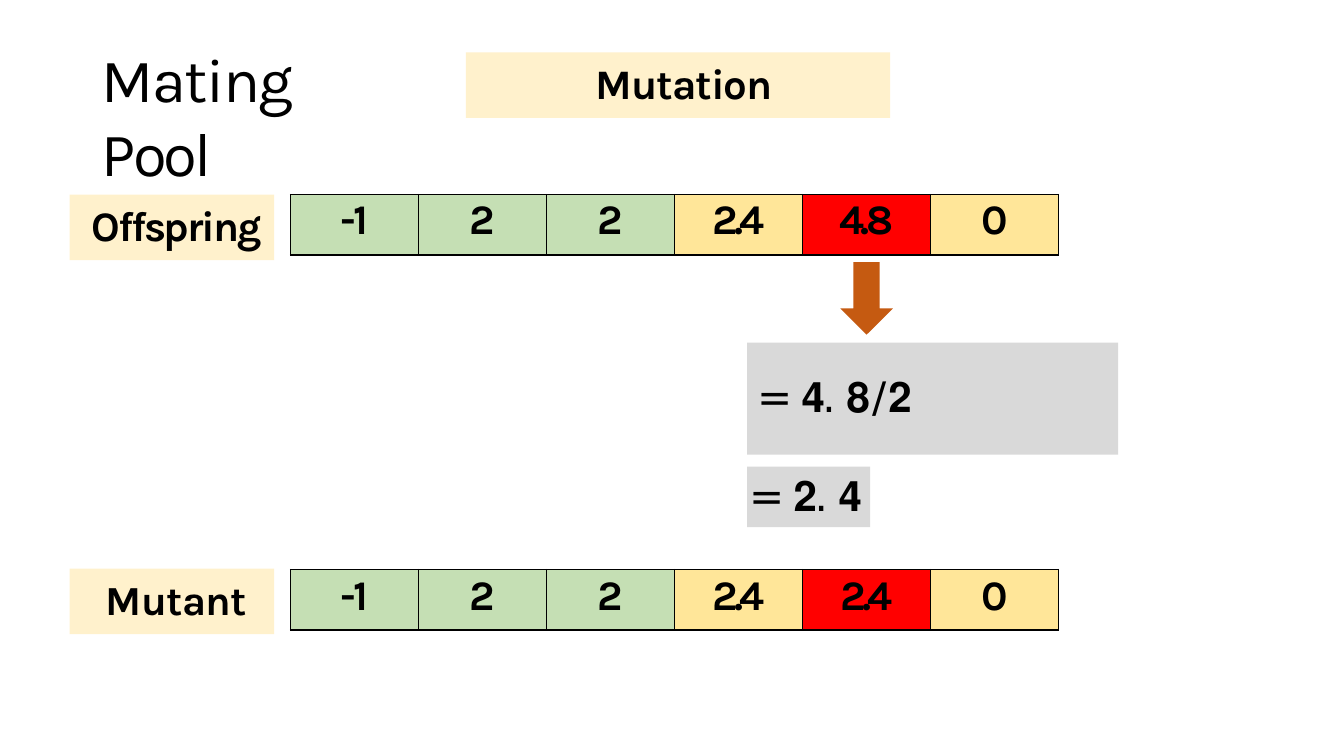
from lxml import etree
from pptx import Presentation
from pptx.dml.color import RGBColor
from pptx.enum.shapes import MSO_SHAPE
from pptx.enum.text import MSO_ANCHOR, MSO_AUTO_SIZE, PP_ALIGN
from pptx.oxml.ns import qn
from pptx.util import Inches, Pt

RECT, ARROW = MSO_SHAPE.RECTANGLE, MSO_SHAPE.DOWN_ARROW
TOP, NO_FIT = MSO_ANCHOR.TOP, MSO_AUTO_SIZE.NONE
LEFT, CENTER = PP_ALIGN.LEFT, PP_ALIGN.CENTER

BLACK = RGBColor(0x00, 0x00, 0x00)
CREAM = RGBColor(0xFF, 0xF1, 0xCC)
GREEN = RGBColor(0xC5, 0xDF, 0xB4)
GOLD = RGBColor(0xFF, 0xE6, 0x99)
RED = RGBColor(0xFF, 0x00, 0x00)
GRAY = RGBColor(0xD9, 0xD9, 0xD9)
RUST = RGBColor(0xC5, 0x5A, 0x11)
KARLA, MATH = "Karla", "DejaVu Sans"

# Content: text runs are (text, letter spacing in points)
TITLE = [("Mating ", -1.1), ("Pool", -2)]
# Labels: runs, place, left and top inset, size
LABELS = [
    ([("Mutation", -0.8)], (4.62, 0.52, 4.21, 0.65), (1.29, 0.05), 30),
    ([("Offspring", -1.6)], (0.69, 1.93, 2.03, 0.65), (0.22, 0.05), 30),
    ([("Mutant", -0.5)], (0.69, 5.64, 2.03, 0.65), (0.36, 0.06), 29.5),
]
SUMS = [
    ([("= ", -2.8), ("𝟒. ", -1.8), ("𝟖/𝟐", 1.5)], (7.41, 3.4, 3.68, 1.11), (0.1, 0.28)),
    ([("= ", -2.8), ("𝟐. ", -1.8), ("𝟒", -0.1)], (7.41, 4.63, 1.22, 0.6), (0.02, 0.03)),
]
# Gene rows: top, top inset, values
GENES = [
    (1.93, 0.02, ["-1", "2", "2", "2.4", "4.8", "0"]),
    (5.65, 0.03, ["-1", "2", "2", "2.4", "2.4", "0"]),
]
FILLS = [GREEN, GREEN, GREEN, GOLD, RED, GOLD]
SPACING = {1: 0, 2: -2.2, 3: -2.6}  # by length of the value
GRID_X, COL, ROW = 2.88, 1.27, 0.6
HIT = FILLS.index(RED)


def write(frame, runs, size, face=KARLA, bold=False, align=LEFT):
    para = frame.paragraphs[0]
    para.alignment = align
    for text, gap in runs:
        run = para.add_run()
        run.text = text
        font = run.font
        font.size, font.name, font.bold = Pt(size), face, bold
        font.color.rgb = BLACK
        run._r.get_or_add_rPr().set("spc", str(round(gap * 100)))


def inset(box, left, top):
    box.margin_left, box.margin_top = Inches(left), Inches(top)
    box.margin_right = box.margin_bottom = 0
    box.vertical_anchor = TOP


def block(kind, place, fill):
    shape = slide.shapes.add_shape(kind, *map(Inches, place))
    shape.shadow.inherit = False
    shape.fill.solid()
    shape.fill.fore_color.rgb = fill
    shape.line.fill.background()
    return shape


def panel(runs, place, pad, fill, size, face, bold):
    frame = block(RECT, place, fill).text_frame
    frame.word_wrap = True
    inset(frame, *pad)
    write(frame, runs, size, face, bold)


def border(cell):
    props = cell._tc.get_or_add_tcPr()
    for spot, side in enumerate(("a:lnL", "a:lnR", "a:lnT", "a:lnB")):
        line = etree.Element(qn(side), w=str(Pt(1)))
        solid = etree.SubElement(line, qn("a:solidFill"))
        etree.SubElement(solid, qn("a:srgbClr"), val=str(BLACK))
        props.insert(spot, line)


def genes(top, pad, values):
    size = map(Inches, (GRID_X, top, COL * len(values), ROW))
    table = slide.shapes.add_table(1, len(values), *size).table
    table.first_row = table.horz_banding = False
    for col, (value, fill) in enumerate(zip(values, FILLS)):
        table.columns[col].width = Inches(COL)
        cell = table.cell(0, col)
        inset(cell, 0, pad)
        cell.fill.solid()
        cell.fill.fore_color.rgb = fill
        border(cell)
        runs = [(value, SPACING[len(value)])]
        write(cell.text_frame, runs, 30, bold=True, align=CENTER)


deck = Presentation()
deck.slide_width, deck.slide_height = Inches(13.33), Inches(7.5)
slide = deck.slides.add_slide(deck.slide_layouts[5])

# Title
title = slide.shapes.title
title.left, title.top, title.width, title.height = map(Inches, (1, 0.4, 2.93, 0.76))
frame = title.text_frame
frame.auto_size, frame.word_wrap = NO_FIT, True
inset(frame, 0.01, 0.01)
write(frame, TITLE, 44)

# Gene rows and labels
for row in GENES:
    genes(*row)
for runs, place, pad, size in LABELS:
    panel(runs, place, pad, CREAM, size, KARLA, True)

# Arrow centred under the mutated gene, then the sums
wide = 0.52
mid = GRID_X + COL * (HIT + 0.5)
block(ARROW, (mid - wide / 2, 2.6, wide, 0.72), RUST)
for runs, place, pad in SUMS:
    panel(runs, place, pad, GRAY, 30, MATH, False)

deck.save("out.pptx")
